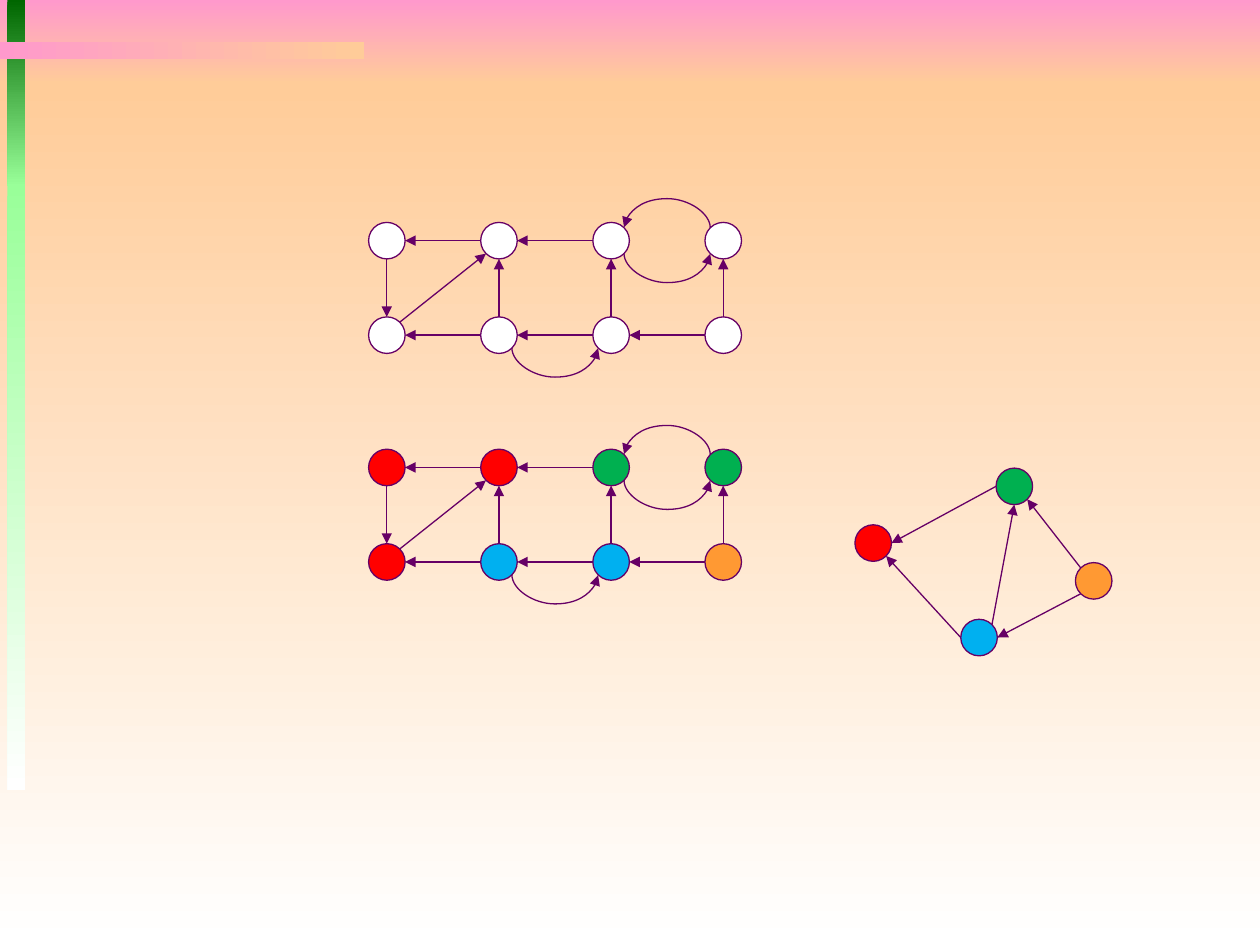
"""Directed graph, its strongly connected components, and the condensed graph."""
from lxml import etree
from pptx import Presentation
from pptx import util as u
from pptx.dml.color import RGBColor
from pptx.enum import shapes as kinds
from pptx.oxml.ns import qn

rgb = RGBColor.from_string
INK, WHITE, RED, GREEN, BLUE, ORANGE = "660066", "FFFFFF", "FF0000", "00B050", "00B0F0", "FF9933"
PINK, PEACH, DARK_GREEN, LIGHT_GREEN = "FF99CC", "FFCC99", "006600", "99FF99"
DIAMETER = 0.29
SITES = {"N": (0, -1), "S": (0, 1), "W": (-1, 0), "E": (1, 0),
         "NW": (-0.71, -0.71), "NE": (0.71, -0.71), "SW": (-0.71, 0.71), "SE": (0.71, 0.71)}


def site_point(center, site):
    dx, dy = SITES[site]
    return u.Inches(center[0] + dx * DIAMETER / 2), u.Inches(center[1] + dy * DIAMETER / 2)


def draw_outline(line):
    for name, value in {"width": u.Pt(0.75)}.items():
        setattr(line, name, value)
    line.color.rgb = rgb(INK)


prs = Presentation()
for name, value in {"slide_width": u.Inches(10), "slide_height": u.Inches(7.5)}.items():
    setattr(prs, name, value)
slide = prs.slides.add_slide(prs.slide_layouts[6])
items = slide.shapes

bands = [
    (0, 0, 10, 0.67, PINK, PEACH, 270),
    (0, 0.67, 10, 6.83, PEACH, WHITE, 270),
    (0.06, 0, 0.14, 1.48, DARK_GREEN, LIGHT_GREEN, 270),
    (0.06, 1.46, 0.14, 4.81, LIGHT_GREEN, WHITE, 270),
    (0, 0.33, 2.89, 0.14, PINK, PEACH, 0),
]
for *box, first, last, angle in bands:
    band = items.add_shape(kinds.MSO_SHAPE.RECTANGLE, *map(u.Inches, box))
    band.shadow.inherit = False
    band.line.fill.background()
    band.fill.gradient()
    band.fill.gradient_angle = angle
    for stop, color, position in zip(band.fill.gradient_stops, (first, last), (0, 1)):
        stop.color.rgb = rgb(color)
        stop.position = position

ladder_places = [(col, row) for row in range(2) for col in range(4)]
ladder_edges = [
    (1, "W", 0, "E", None), (2, "W", 1, "E", None),
    (3, "NW", 2, "NE", "flipV"), (2, "SE", 3, "SW", "flipH"),
    (5, "N", 1, "S", None), (6, "N", 2, "S", None), (7, "N", 3, "S", None),
    (0, "S", 4, "N", None),
    (5, "W", 4, "E", None), (6, "W", 5, "E", None), (7, "W", 6, "E", None),
    (5, "SE", 6, "SW", "flipH"), (4, "NE", 1, "SW", None),
]
condensed_places = [(0, 3), (12, 8), (16, 0), (25, 5)]
condensed_edges = [
    (2, "W", 0, "E", None), (3, "NW", 2, "SE", None), (3, "SW", 1, "E", None),
    (1, "W", 0, "SE", None), (1, "NE", 2, "S", None),
]
component_colors = [RED, RED, GREEN, GREEN, RED, BLUE, BLUE, ORANGE]
graphs = [
    ((3.07, 1.91), (0.89, 0.75), ladder_places, [WHITE] * 8, ladder_edges),
    ((3.07, 3.71), (0.89, 0.75), ladder_places, component_colors, ladder_edges),
    ((6.93, 3.86), (0.07, 0.15), condensed_places, [RED, BLUE, GREEN, ORANGE], condensed_edges),
]

for (left, top), (col_step, row_step), places, colors, edges in graphs:
    centers = [(left + col * col_step, top + row * row_step) for col, row in places]
    for (x, y), color in zip(centers, colors):
        node = items.add_shape(kinds.MSO_SHAPE.OVAL, u.Inches(x - DIAMETER / 2),
                               u.Inches(y - DIAMETER / 2), u.Inches(DIAMETER), u.Inches(DIAMETER))
        node.shadow.inherit = False
        node.fill.solid()
        node.fill.fore_color.rgb = rgb(color)
        draw_outline(node.line)

    for source, source_site, target, target_site, flip in edges:
        x1, y1 = site_point(centers[source], source_site)
        x2, y2 = site_point(centers[target], target_site)
        style = kinds.MSO_CONNECTOR.CURVE if flip else kinds.MSO_CONNECTOR.STRAIGHT
        edge = items.add_connector(style, x1, y1, x2, y2)
        draw_outline(edge.line)
        props = edge._element.spPr
        etree.SubElement(edge.line._get_or_add_ln(), qn("a:tailEnd"), type="triangle")
        etree.SubElement(props, qn("a:effectLst"))
        if flip:
            depth, span = u.Pt(0.25), abs(x2 - x1)
            frame = {"left": (x1 + x2 - depth) // 2, "top": (y1 + y2 - span) // 2,
                     "width": depth, "height": span}
            for name, value in frame.items():
                setattr(edge, name, value)
            props.xfrm.attrib.clear()
            for name, value in {"rot": "16200000", flip: "1"}.items():
                props.xfrm.set(name, value)
            guides = props.find(qn("a:prstGeom")).find(qn("a:avLst"))
            if guides is None:
                guides = etree.SubElement(props.find(qn("a:prstGeom")), qn("a:avLst"))
            etree.SubElement(guides, qn("a:gd"), name="adj1", fmla="val 6550000")

prs.save("out.pptx")
